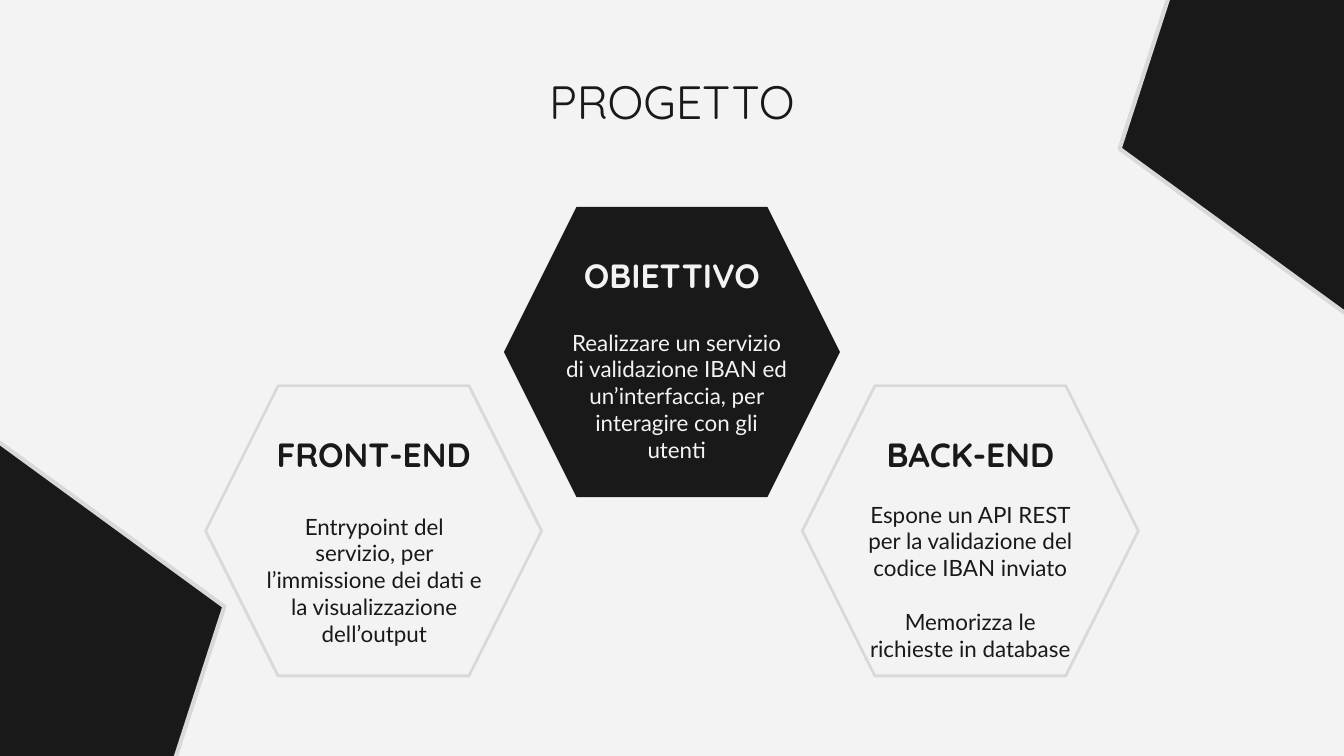
from pptx import Presentation
from pptx.dml.color import RGBColor
from pptx.enum import shapes, text
from pptx.util import Inches, Pt

DARK, LIGHT, GREY = "191919", "F3F3F3", "D9D9D9"
HEX, PENT = shapes.MSO_SHAPE.HEXAGON, shapes.MSO_SHAPE.REGULAR_PENTAGON
TOP, MID = text.MSO_ANCHOR.TOP, text.MSO_ANCHOR.MIDDLE

TITLE = "PROGETTO"
# Each card: hexagon corner, fill, text colour, heading and its width,
# body paragraphs, body box and the body's bottom inset
CARDS = [
    dict(spot=(3.75, 1.54), fill=DARK, ink=LIGHT, head="OBIETTIVO", width=1.6,
         body=["Realizzare un servizio di validazione IBAN ed "
               "un’interfaccia, per interagire con gli utenti"],
         box=(4.11, 2.44, 1.85, 1.01), foot=0.1),
    dict(spot=(1.53, 2.87), fill=None, ink=DARK, head="FRONT-END", width=1.71,
         body=["Entrypoint del servizio, per l’immissione dei dati e "
               "la visualizzazione dell’output"],
         box=(1.86, 3.96, 1.85, 0.91), foot=0.3),
    dict(spot=(5.97, 2.87), fill=None, ink=DARK, head="BACK-END", width=1.6,
         body=["Espone un API REST per la validazione del codice IBAN inviato",
               "Memorizza le richieste in database"],
         box=(6.34, 3.95, 1.76, 0.75), foot=0.1),
]
HEX_W, HEX_H = 2.5, 2.16
CORNERS = [((-2.07, 3.15, 3.74, 3.57), 0), ((8.33, -1.1, 3.74, 3.57), 180)]


def color(code):
    return RGBColor.from_string(code)


def add_shape(slide, kind, box, fill=None, line=None, weight=1.5):
    shape = slide.shapes.add_shape(kind, *map(Inches, box))
    shape.shadow.inherit = False
    if fill:
        shape.fill.solid()
        shape.fill.fore_color.rgb = color(fill)
    else:
        shape.fill.background()
    if line:
        shape.line.color.rgb = color(line)
        shape.line.width = Pt(weight)
    else:
        shape.line.fill.background()
    return shape


def add_text(slide, box, lines, font, size, ink, bold=False, anchor=MID, foot=0.1):
    """Add centred paragraphs, set one blank line's height apart."""
    frame = slide.shapes.add_textbox(*map(Inches, box)).text_frame
    frame.word_wrap = True
    frame.vertical_anchor = anchor
    frame.margin_left = frame.margin_right = frame.margin_top = Inches(0.1)
    frame.margin_bottom = Inches(foot)
    for i, line in enumerate(lines):
        para = frame.add_paragraph() if i else frame.paragraphs[0]
        para.text = line
        para.alignment = text.PP_ALIGN.CENTER
        para.space_before = Pt(1.2 * size if i else 0)
        para.font.name, para.font.size, para.font.bold = font, Pt(size), bold
        para.font.color.rgb = color(ink)


def main():
    deck = Presentation()
    deck.slide_width = Inches(10)
    deck.slide_height = deck.slide_width * 9 // 16
    slide = deck.slides.add_slide(deck.slide_layouts[6])
    slide.background.fill.solid()
    slide.background.fill.fore_color.rgb = color(LIGHT)

    add_text(slide, (0, 0.44, 10, 0.75), [TITLE], "Quicksand", 25, DARK, anchor=TOP)
    for card in CARDS:
        left, top = card["spot"]
        add_shape(slide, HEX, (left, top, HEX_W, HEX_H), card["fill"],
                  None if card["fill"] else GREY)
        wide = card["width"]
        add_text(slide, (left + (HEX_W - wide) / 2, top + 0.33, wide, 0.36),
                 [card["head"]], "Quicksand", 18, card["ink"], bold=True)
        add_text(slide, card["box"], card["body"], "Lato", 12, card["ink"],
                 foot=card["foot"])
    for box, turn in CORNERS:
        add_shape(slide, PENT, box, DARK, GREY, 2.25).rotation = turn
    deck.save("out.pptx")


if __name__ == "__main__":
    main()
